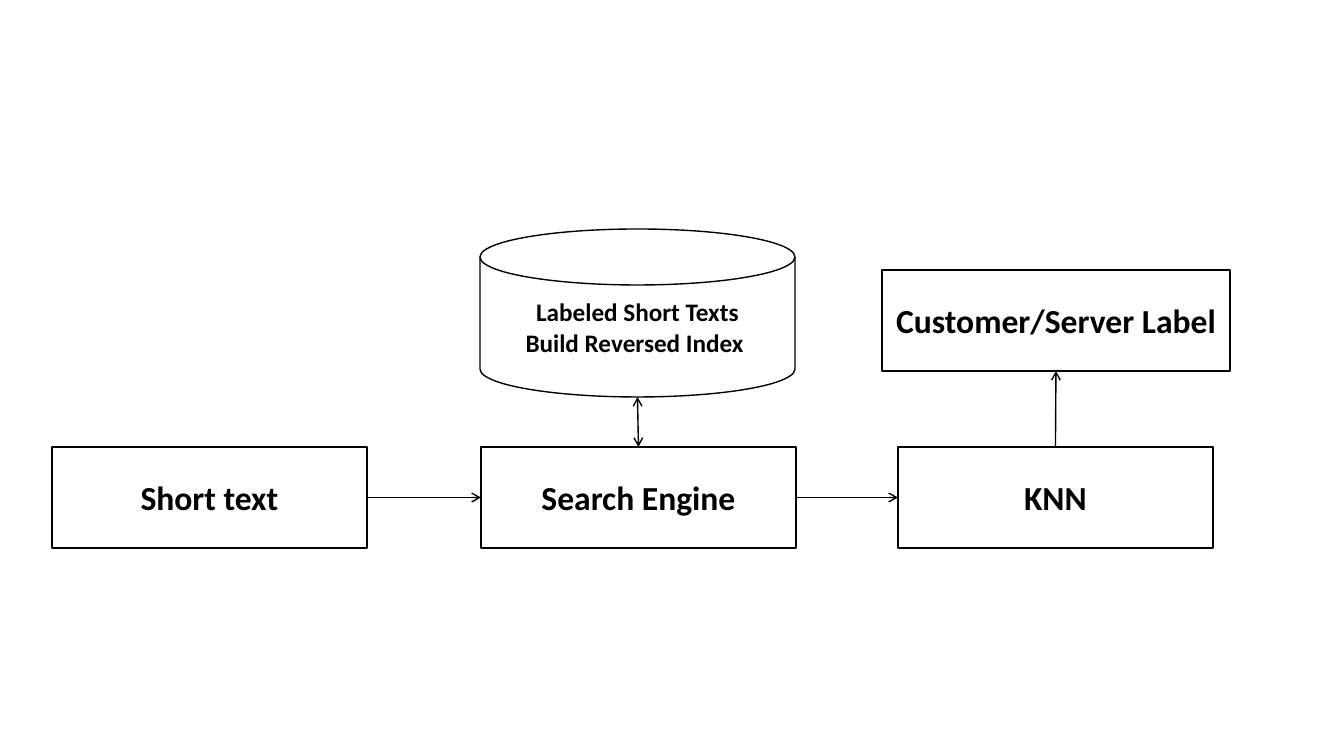
from pptx import Presentation
from pptx.dml.color import RGBColor
from pptx.enum.shapes import MSO_CONNECTOR, MSO_SHAPE
from pptx.enum.text import MSO_ANCHOR, PP_ALIGN
from pptx.oxml.ns import qn
from pptx.util import Pt
from lxml.etree import SubElement

EMU_PER_PX = 914400 / 100.8


def px(n):
    return round(n * EMU_PER_PX)


def color(hex_text):
    return RGBColor.from_string(hex_text)


class Diagram:
    font, ink, paper, line_width = "Calibri", "000000", "FFFFFF", Pt(1)

    def __init__(self, slide):
        self.slide = slide

    def stroke(self, line):
        line.color.rgb = color(self.ink)
        line.width = self.line_width

    def node(self, text, x, y, w, h, kind=MSO_SHAPE.RECTANGLE, size=24):
        s = self.slide.shapes.add_shape(kind, px(x), px(y), px(w), px(h))
        s.shadow.inherit = False
        s.fill.solid()
        s.fill.fore_color.rgb = color(self.paper)
        self.stroke(s.line)
        tf = s.text_frame
        tf.word_wrap = True
        tf.vertical_anchor = MSO_ANCHOR.MIDDLE
        tf.text = text
        for p in tf.paragraphs:
            p.alignment = PP_ALIGN.CENTER
            for r in p.runs:
                r.font.name = self.font
                r.font.size = Pt(size)
                r.font.bold = True
                r.font.color.rgb = color(self.ink)
        return s

    def arrow(self, start, start_site, end, end_site, both=False):
        c = self.slide.shapes.add_connector(MSO_CONNECTOR.STRAIGHT, 0, 0, 0, 0)
        c.begin_connect(start, start_site)
        c.end_connect(end, end_site)
        self.stroke(c.line)
        ln = c.line._get_or_add_ln()
        for tag in ("a:headEnd", "a:tailEnd") if both else ("a:tailEnd",):
            SubElement(ln, qn(tag)).set("type", "arrow")
        SubElement(c._element.spPr, qn("a:effectLst"))
        return c


prs = Presentation()
prs.slide_width, prs.slide_height = px(1344), px(756)
d = Diagram(prs.slides.add_slide(prs.slide_layouts[6]))

# Processing steps along the bottom row
W, H, ROW = 315, 101, 447
short_text, engine, knn = [
    d.node(text, x, ROW, W, H)
    for text, x in (("Short text", 52), ("Search Engine", 481), ("KNN", 898))
]

# Index store and resulting label above
store = d.node("Labeled Short Texts\nBuild Reversed Index ", 480, 229, W, 168,
               MSO_SHAPE.FLOWCHART_MAGNETIC_DISK, 18)
label = d.node("Customer/Server Label", 882, 270, 348, H)

# Arrows; connection sites of a rectangle: 0 top, 1 left, 2 bottom, 3 right
TOP, LEFT, BOTTOM, RIGHT = range(4)
d.arrow(short_text, RIGHT, engine, LEFT)
d.arrow(engine, RIGHT, knn, LEFT)
d.arrow(knn, TOP, label, BOTTOM)
store_link = d.arrow(store, BOTTOM, engine, TOP, both=True)
# The disk has an extra site on its lid, so its bottom is number 3
store_link._element.nvCxnSpPr.cNvCxnSpPr.stCxn.set("idx", "3")

prs.save("out.pptx")
